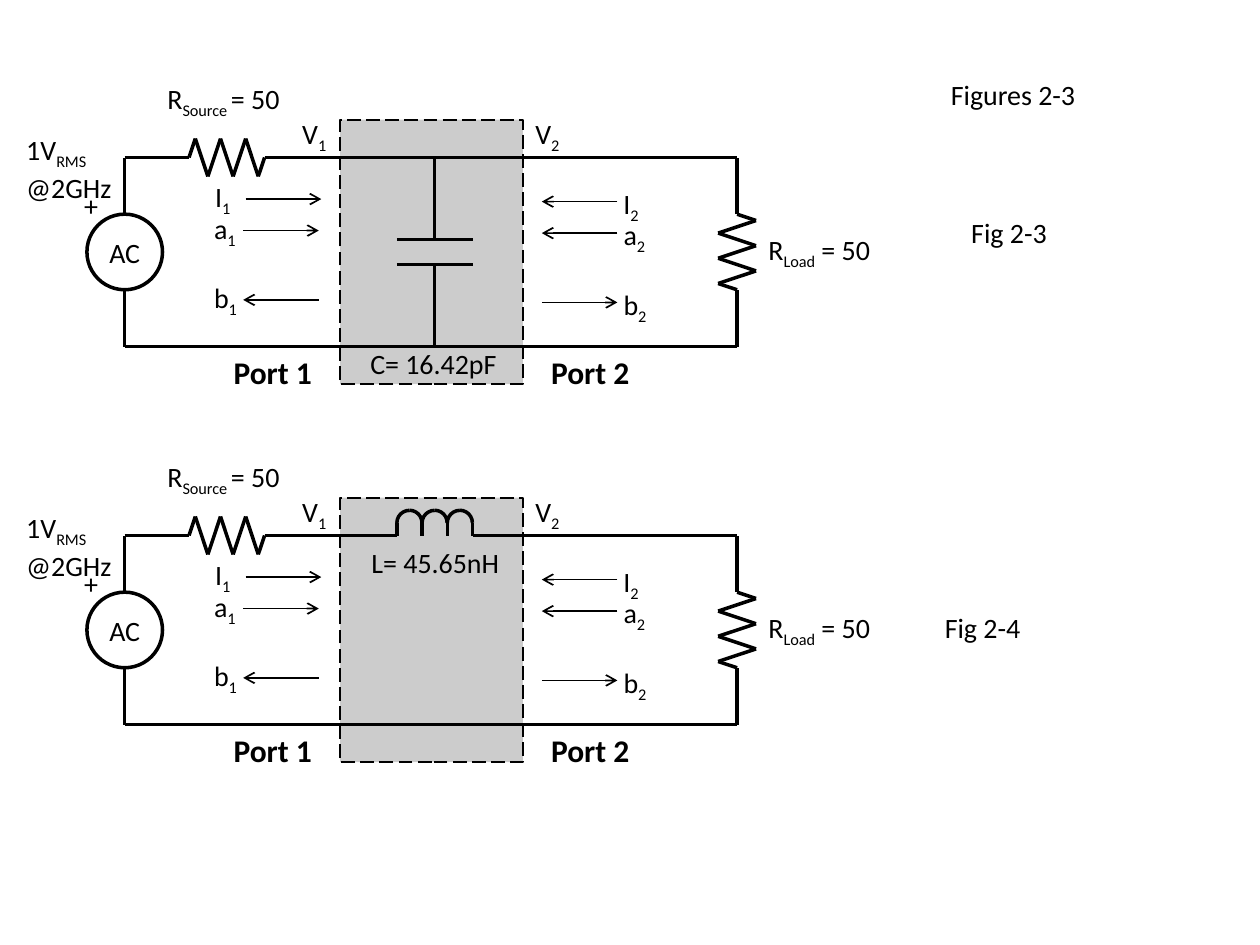
from collections.abc import Callable
from dataclasses import dataclass
from itertools import pairwise

import pptx
import pptx.dml.color
import pptx.enum.dml
import pptx.enum.shapes
import pptx.enum.text
import pptx.oxml.ns
import pptx.shapes.shapetree
import pptx.util
from lxml import etree
from pptx.util import Inches

Point = tuple[float, float]
Shapes = pptx.shapes.shapetree.SlideShapes | pptx.shapes.shapetree.GroupShapes
PRESET = pptx.enum.shapes.MSO_SHAPE
ALIGN = pptx.enum.text.PP_ALIGN
qn = pptx.oxml.ns.qn


@dataclass(frozen=True)
class Theme:
    font: str = "Calibri"
    ink: pptx.dml.color.RGBColor = pptx.dml.color.RGBColor(0, 0, 0)
    body: float = 16
    port: float = 18
    wire: float = 2
    thin: float = 1
    block_alpha: int = 20000
    subscript: int = -25000


THEME = Theme()


@dataclass(frozen=True)
class Label:
    """Each line alternates normal and subscript pieces; y is measured from the top rail."""
    lines: tuple[tuple[str, ...], ...]
    x: float
    y: float
    width: float
    height: float = 0.37
    wrap: bool = False
    port: bool = False


@dataclass(frozen=True)
class Signal:
    """A wave or current beside a port, with the arrow from tail to tip."""
    letter: str
    port: str
    x: float
    y: float
    width: float
    tail: float
    tip: float
    arrow_y: float


@dataclass(frozen=True)
class Circuit:
    rail: float
    draw_component: Callable[[Shapes, float], None]
    value: Label
    figure: Label


LEFT, RIGHT = 0.99, 5.85          # outer wires
BOTTOM = 1.5                      # lower rail below the upper one
AC_TOP, AC_SIZE = 0.45, 0.6
PART_LEFT, PART_RIGHT = 3.15, 3.75
PART_CENTRE = (PART_LEFT + PART_RIGHT) / 2
RESISTOR_START, RESISTOR_LENGTH = 1.5, 0.6

COMMON_LABELS = (
    Label((("R", "Load", " = 50"),), 6, 0.55, 1.15, wrap=True),
    Label((("+",),), 0.57, 0.2, 0.31),
    Label((("R", "Source ", "= 50"),), 1.23, -0.65, 1.15),
    Label((("V", "1"),), 2.3, -0.37, 0.41),
    Label((("V", "2"),), 4.15, -0.37, 0.41),
    Label((("1V", "RMS"), ("@2GHz",)), 0.11, -0.25, 0.89, 0.64),
    Label((("Port 1",),), 1.75, BOTTOM, 0.83, 0.4, port=True),
    Label((("Port 2",),), 4.27, BOTTOM, 0.83, 0.4, port=True),
)
SIGNALS = (
    Signal("I", "1", 1.61, 0.13, 0.33, 1.95, 2.55, 0.33),
    Signal("I", "2", 4.85, 0.18, 0.33, 4.9, 4.3, 0.35),
    Signal("a", "1", 1.6, 0.38, 0.38, 1.93, 2.53, 0.58),
    Signal("a", "2", 4.85, 0.43, 0.38, 4.9, 4.3, 0.6),
    Signal("b", "1", 1.6, 0.93, 0.39, 2.53, 1.93, 1.13),
    Signal("b", "2", 4.85, 0.98, 0.39, 4.3, 4.9, 1.15),
)


def draw_wire(shapes: Shapes, rail: float, *points: Point,
              width: float = THEME.wire, arrow: bool = False) -> None:
    """Draw straight segments through points given relative to the top rail."""
    for (x1, y1), (x2, y2) in pairwise(points):
        segment = shapes.add_connector(
            pptx.enum.shapes.MSO_CONNECTOR.STRAIGHT,
            Inches(x1), Inches(rail + y1), Inches(x2), Inches(rail + y2))
        segment.line.color.rgb = THEME.ink
        segment.line.width = pptx.util.Pt(width)
        properties = segment._element.spPr
        if arrow:
            etree.SubElement(properties.find(qn("a:ln")), qn("a:tailEnd"), type="arrow")
        etree.SubElement(properties, qn("a:effectLst"))


def draw_outline(shapes: Shapes, preset: PRESET, x: float, y: float,
                 width: float, height: float, weight: float = THEME.wire):
    outline = shapes.add_shape(preset, Inches(x), Inches(y), Inches(width), Inches(height))
    outline.shadow.inherit = False
    outline.fill.background()
    outline.line.color.rgb = THEME.ink
    outline.line.width = pptx.util.Pt(weight)
    return outline


def style_paragraph(paragraph, size: float = THEME.body, bold: bool = False) -> None:
    paragraph.font.name = THEME.font
    paragraph.font.size = pptx.util.Pt(size)
    paragraph.font.bold = bold
    paragraph.font.color.rgb = THEME.ink


def draw_label(shapes: Shapes, rail: float, label: Label) -> None:
    frame = shapes.add_textbox(Inches(label.x), Inches(rail + label.y),
                               Inches(label.width), Inches(label.height)).text_frame
    frame.word_wrap = label.wrap
    frame.auto_size = pptx.enum.text.MSO_AUTO_SIZE.SHAPE_TO_FIT_TEXT
    for number, pieces in enumerate(label.lines):
        paragraph = frame.add_paragraph() if number else frame.paragraphs[0]
        style_paragraph(paragraph, THEME.port if label.port else THEME.body, label.port)
        if label.port:
            paragraph.alignment = ALIGN.CENTER
        for position, piece in enumerate(pieces):
            run = paragraph.add_run()
            run.text = piece
            if position % 2:
                run._r.get_or_add_rPr().set("baseline", str(THEME.subscript))


def zigzag(length: float) -> list[Point]:
    """Distance along a resistor and deflection across it."""
    peaks = [(0.05 + 0.1 * i, 0.15 * (-1) ** i) for i in range(6)]
    return [(0, 0), *peaks, (length, 0)]


def draw_capacitor(shapes: Shapes, rail: float) -> None:
    plates = shapes.add_group_shape().shapes
    for plate_y, rail_y in ((0.65, 0), (0.85, BOTTOM)):
        draw_wire(shapes, rail, (PART_CENTRE, rail_y), (PART_CENTRE, plate_y))
        draw_wire(plates, rail, (PART_LEFT, plate_y), (PART_CENTRE, plate_y),
                  (PART_RIGHT, plate_y))
    draw_wire(shapes, rail, (RESISTOR_START + RESISTOR_LENGTH, 0), (RIGHT, 0))


def draw_inductor(shapes: Shapes, rail: float) -> None:
    coil = shapes.add_group_shape().shapes
    turn = 0.2
    for i in range(4):
        x = PART_LEFT + turn * i
        draw_wire(coil, rail, (x, -turn / 2), (x, 0))
        if i < 3:
            for rotation in (0, 270):
                draw_outline(coil, PRESET.ARC, x, rail - turn, turn, turn).rotation = rotation
    draw_wire(shapes, rail, (RESISTOR_START + RESISTOR_LENGTH, 0), (PART_LEFT, 0))
    draw_wire(shapes, rail, (PART_RIGHT, 0), (RIGHT, 0))


def draw_circuit(shapes: Shapes, circuit: Circuit) -> None:
    rail = circuit.rail
    block = draw_outline(shapes, PRESET.RECTANGLE, 2.7, rail - 0.3, 1.45, 2.1, THEME.thin)
    block.line.dash_style = pptx.enum.dml.MSO_LINE.LONG_DASH
    block.fill.solid()
    block.fill.fore_color.rgb = THEME.ink
    colour = block._element.spPr.find(qn("a:solidFill")).find(qn("a:srgbClr"))
    etree.SubElement(colour, qn("a:alpha"), val=str(THEME.block_alpha))

    source = draw_outline(shapes, PRESET.OVAL, LEFT - AC_SIZE / 2, rail + AC_TOP,
                          AC_SIZE, AC_SIZE).text_frame
    source.margin_left = source.margin_right = source.margin_top = source.margin_bottom = 0
    source.vertical_anchor = pptx.enum.text.MSO_ANCHOR.MIDDLE
    source.text = "AC"
    source.paragraphs[0].alignment = ALIGN.CENTER
    style_paragraph(source.paragraphs[0])

    ac_bottom = AC_TOP + AC_SIZE
    draw_wire(shapes, rail, (LEFT, AC_TOP), (LEFT, 0), (RESISTOR_START, 0))
    draw_wire(shapes, rail, (LEFT, ac_bottom), (LEFT, BOTTOM), (RIGHT, BOTTOM),
              (RIGHT, ac_bottom))
    draw_wire(shapes, rail, (RIGHT, AC_TOP), (RIGHT, 0))
    steps = zigzag(RESISTOR_LENGTH)
    draw_wire(shapes.add_group_shape().shapes, rail,
              *((RESISTOR_START + along, -across) for along, across in steps))
    draw_wire(shapes.add_group_shape().shapes, rail,
              *((RIGHT + across, AC_TOP + along) for along, across in steps))
    circuit.draw_component(shapes, rail)

    for signal in SIGNALS:
        draw_label(shapes, rail, Label(((signal.letter, signal.port),),
                                       signal.x, signal.y, signal.width))
        draw_wire(shapes, rail, (signal.tail, signal.arrow_y), (signal.tip, signal.arrow_y),
                  width=THEME.thin, arrow=True)
    for label in (*COMMON_LABELS, circuit.value, circuit.figure):
        draw_label(shapes, rail, label)


def draw_heading(shapes: Shapes) -> None:
    heading = shapes.add_textbox(Inches(6.58), Inches(0.3), Inches(2.92), Inches(0.9)).text_frame
    heading.word_wrap = True
    heading.vertical_anchor = pptx.enum.text.MSO_ANCHOR.MIDDLE
    heading.text = "Figures 2-3"
    heading.paragraphs[0].alignment = ALIGN.CENTER
    style_paragraph(heading.paragraphs[0])


def main() -> None:
    deck = pptx.Presentation()
    deck.slide_width, deck.slide_height = Inches(10), Inches(7.5)
    shapes = deck.slides.add_slide(deck.slide_layouts[6]).shapes
    draw_heading(shapes)
    for circuit in (
        Circuit(1.25, draw_capacitor, Label((("C= 16.42pF",),), 2.84, 1.45, 1.22),
                Label((("Fig 2-3",),), 7.61, 0.41, 0.81)),
        Circuit(4.25, draw_inductor, Label((("L= 45.65nH",),), 2.85, 0.03, 1.23),
                Label((("Fig 2-4",),), 7.4, 0.55, 0.81)),
    ):
        draw_circuit(shapes, circuit)
    deck.save("out.pptx")


if __name__ == "__main__":
    main()
